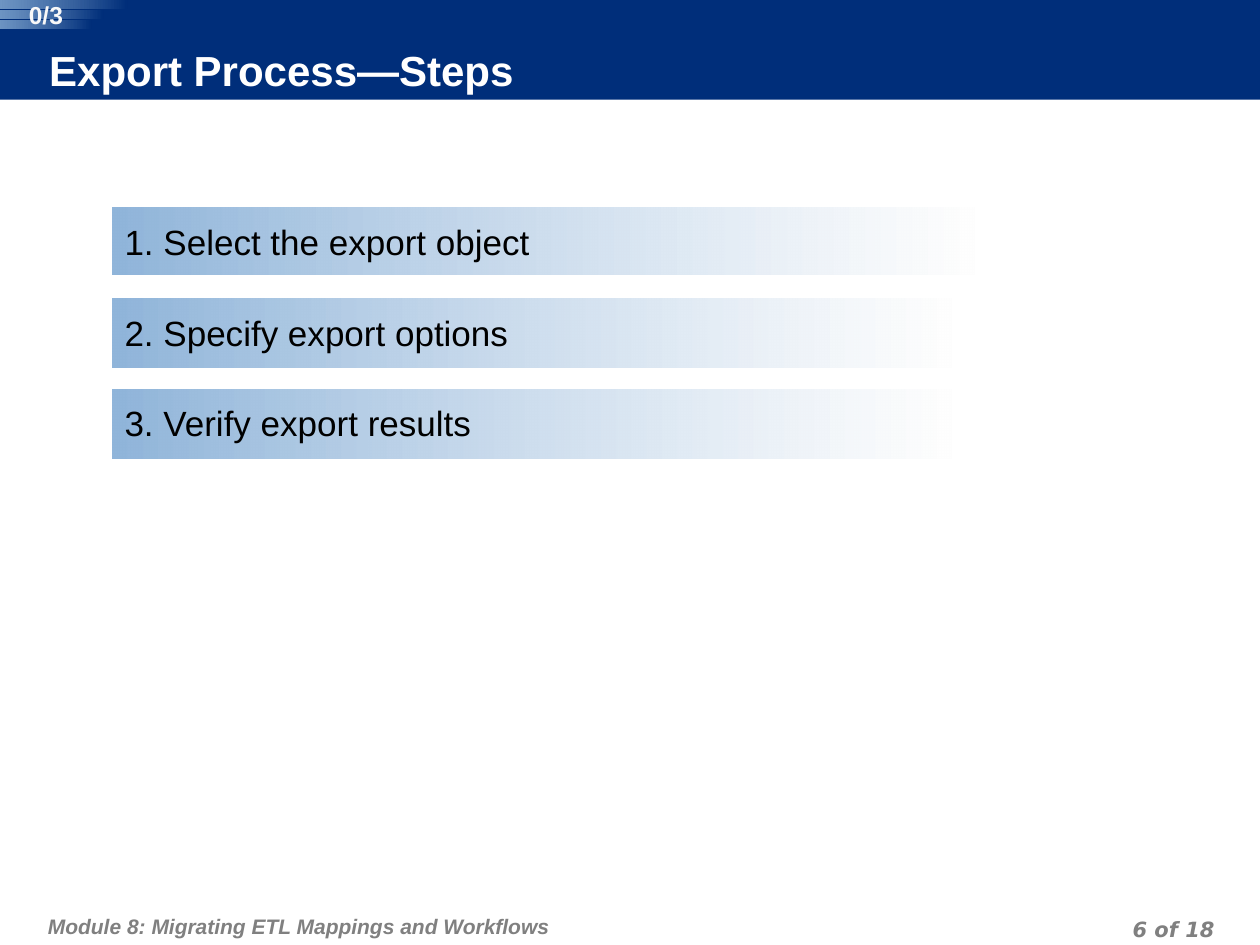
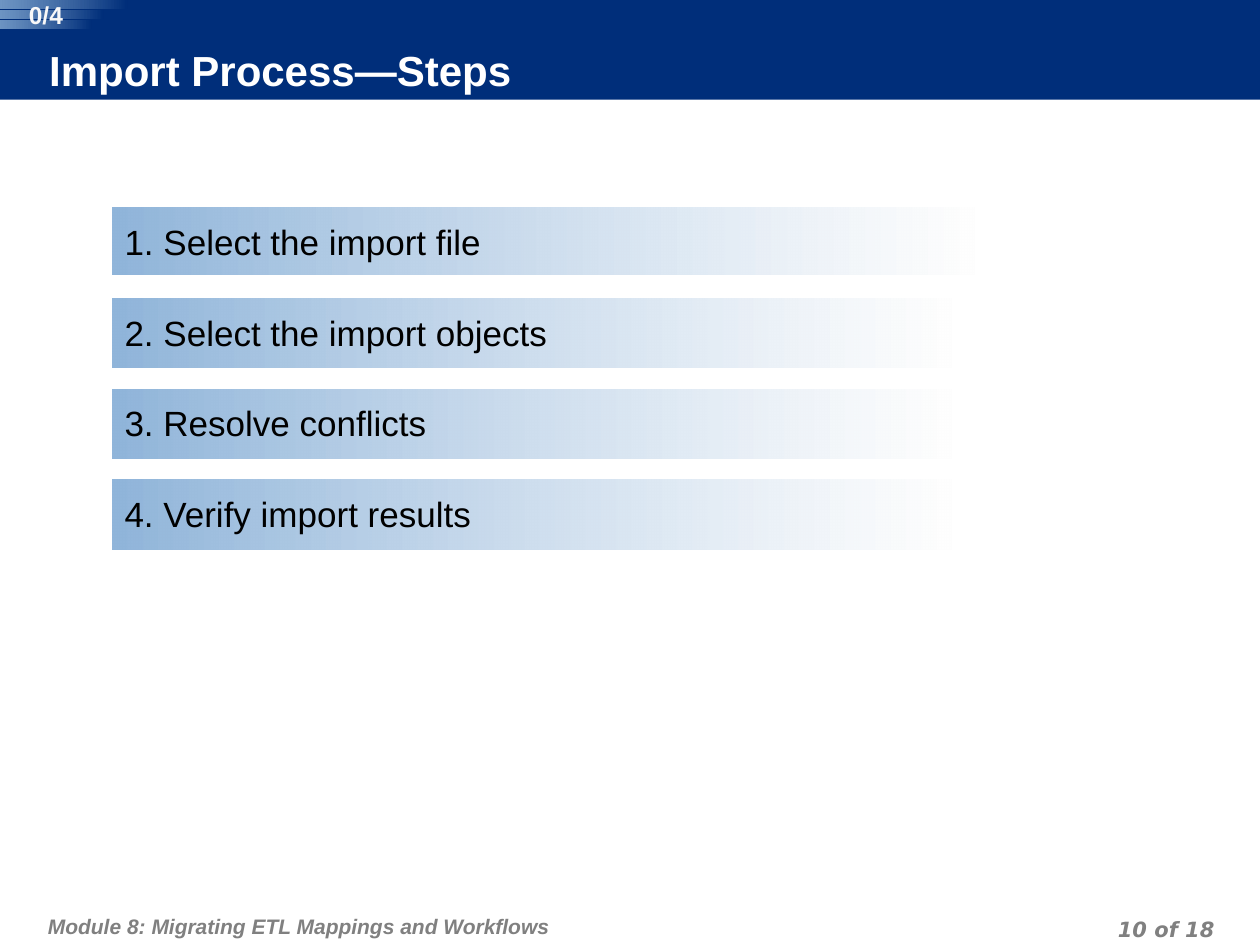
import pptx
import pptx.dml.color
import pptx.enum.shapes
import pptx.enum.text
import pptx.oxml.ns
import pptx.util
from lxml import etree

RGB = pptx.dml.color.RGBColor
ALIGN = pptx.enum.text.PP_ALIGN
ANCHOR = pptx.enum.text.MSO_ANCHOR
SHAPE = pptx.enum.shapes.MSO_SHAPE
Pt = pptx.util.Pt

NAVY = RGB(0x00, 0x2E, 0x7A)
SKY = RGB(0x90, 0xB5, 0xDA)
PALE = RGB(0xFE, 0xFE, 0xFE)
WHITE = RGB(0xFF, 0xFF, 0xFF)
OFF_WHITE = RGB(0xF8, 0xF8, 0xF8)
GREY = RGB(0x80, 0x80, 0x80)
BLACK = RGB(0x00, 0x00, 0x00)

# Gradient stops run from right to left: (colour, opacity in percent)
STEP_FADE = [(PALE, 75), (SKY, 100)]
STRIPE_FADE = [(NAVY, 100), (SKY, 76)]

# Insets are left, top, right, bottom, in grid cells
STYLES = {
    "title": dict(font=dict(name="Arial", size=Pt(24), bold=True), color=WHITE,
                  para=dict(alignment=ALIGN.LEFT), anchor=ANCHOR.MIDDLE,
                  insets=(0, 0, 0.5, 0.5)),
    "step": dict(font=dict(name="Arial", size=Pt(20)), color=BLACK,
                 para=dict(alignment=ALIGN.LEFT), anchor=ANCHOR.TOP,
                 insets=(1, 1, 1, 0.5)),
    "counter": dict(font=dict(name="Arial", size=Pt(14), bold=True), color=OFF_WHITE,
                    para=dict(alignment=ALIGN.CENTER), anchor=ANCHOR.TOP,
                    insets=(0, 0, 0, 0)),
    "module": dict(font=dict(name="Arial", size=Pt(12), bold=True, italic=True),
                   color=GREY, anchor=ANCHOR.TOP, insets=(0.5, 1, 0.5, 0.5),
                   para=dict(alignment=ALIGN.LEFT, line_spacing=Pt(18))),
    "page": dict(font=dict(name="DejaVu Sans", size=Pt(12), bold=True, italic=True),
                 color=GREY, anchor=ANCHOR.TOP, insets=(0.5, 0, 0.5, 0),
                 para=dict(alignment=ALIGN.RIGHT, line_spacing=Pt(18))),
}

MODULE = "Module 8: Migrating ETL Mappings and Workflows"
PAGES = 18
SLIDES = [
    ("Export Process—Steps", 6,
     ["Select the export object", "Specify export options", "Verify export results"]),
    ("Import Process—Steps", 10,
     ["Select the import file", "Select the import objects", "Resolve conflicts",
      "Verify import results"]),
]

prs = pptx.Presentation()
prs.slide_width = pptx.util.Inches(10)
prs.slide_height = pptx.util.Inches(7.5)

# The slide is a grid of 100 columns by 75 rows of square cells
COLS, ROWS = 100, 75
CELL = prs.slide_width / COLS
BAND_H = 7.9
STEP_LEFT, STEP_TOP, STEP_PITCH = 8.9, 23.7 - 7.2, 7.2
STRIPE_PITCH = 0.8
STRIPE_WIDTHS = (10.1, 8.2, 7.3)


def grid(*cells):
    return [round(c * CELL) for c in cells]


def add_fading_bar(shapes, cells, stops):
    """Add a square-cornered bar whose colour fades out to the right."""
    sp = shapes.add_shape(SHAPE.ROUNDED_RECTANGLE, *grid(*cells))
    sp.adjustments[0] = 0
    sp.shadow.inherit = False
    sp.line.fill.background()
    sp.fill.gradient()
    sp.fill.gradient_angle = 180
    for stop, position, (color, opacity) in zip(sp.fill.gradient_stops, (0, 1), stops):
        stop.position = position
        stop.color.rgb = color
    colors = sp.element.iter(pptx.oxml.ns.qn("a:srgbClr"))
    for clr, (color, opacity) in zip(colors, stops):
        if opacity < 100:
            alpha = etree.SubElement(clr, pptx.oxml.ns.qn("a:alpha"))
            alpha.set("val", str(opacity * 1000))
    return sp


for heading, page, steps in SLIDES:
    s = prs.slides.add_slide(prs.slide_layouts[5])
    texts = []

    band = s.shapes.add_shape(SHAPE.RECTANGLE, *grid(0, 0, COLS, BAND_H))
    band.shadow.inherit = False
    band.line.fill.background()
    title = s.shapes.title
    title.left, title.top, title.width, title.height = grid(3.9, 3.8, 78.7, 4)
    s.shapes.element.append(title.element)  # bring the title in front of the band
    for sp in (band, title):
        sp.fill.solid()
        sp.fill.fore_color.rgb = NAVY
    texts.append((title, heading, "title"))

    module = s.shapes.add_textbox(*grid(3.3, 71, 61.8, 4))
    number = s.shapes.add_textbox(*grid(73.6, 72.2, 23.3, 2.5))
    texts += [(module, MODULE, "module"), (number, f"{page} of {PAGES}", "page")]

    for i, step in enumerate(steps):
        width, height = (68.4, 5.3) if i == 0 else (66.6, 5.5)
        cells = STEP_LEFT, STEP_TOP + i * STEP_PITCH, width, height
        bar = add_fading_bar(s.shapes, cells, STEP_FADE)
        texts.append((bar, f"{i + 1}. {step}", "step"))

    badge = s.shapes.add_group_shape()
    for i, width in enumerate(STRIPE_WIDTHS):
        add_fading_bar(badge.shapes, (0, i * STRIPE_PITCH, width, 0.65), STRIPE_FADE)
    counter = badge.shapes.add_textbox(*grid(1.1, 0, 5.1, 2.3))
    texts.append((counter, f"0/{len(steps)}", "counter"))

    for sp, text, name in texts:
        style = STYLES[name]
        tf = sp.text_frame
        tf.word_wrap = True
        tf.auto_size = pptx.enum.text.MSO_AUTO_SIZE.NONE
        tf.vertical_anchor = style["anchor"]
        for side, inset in zip(("left", "top", "right", "bottom"), grid(*style["insets"])):
            setattr(tf, f"margin_{side}", inset)
        p = tf.paragraphs[0]
        for key, value in style["para"].items():
            setattr(p, key, value)
        r = p.add_run()
        r.text = text
        for key, value in style["font"].items():
            setattr(r.font, key, value)
        r.font.color.rgb = style["color"]

prs.save("out.pptx")
